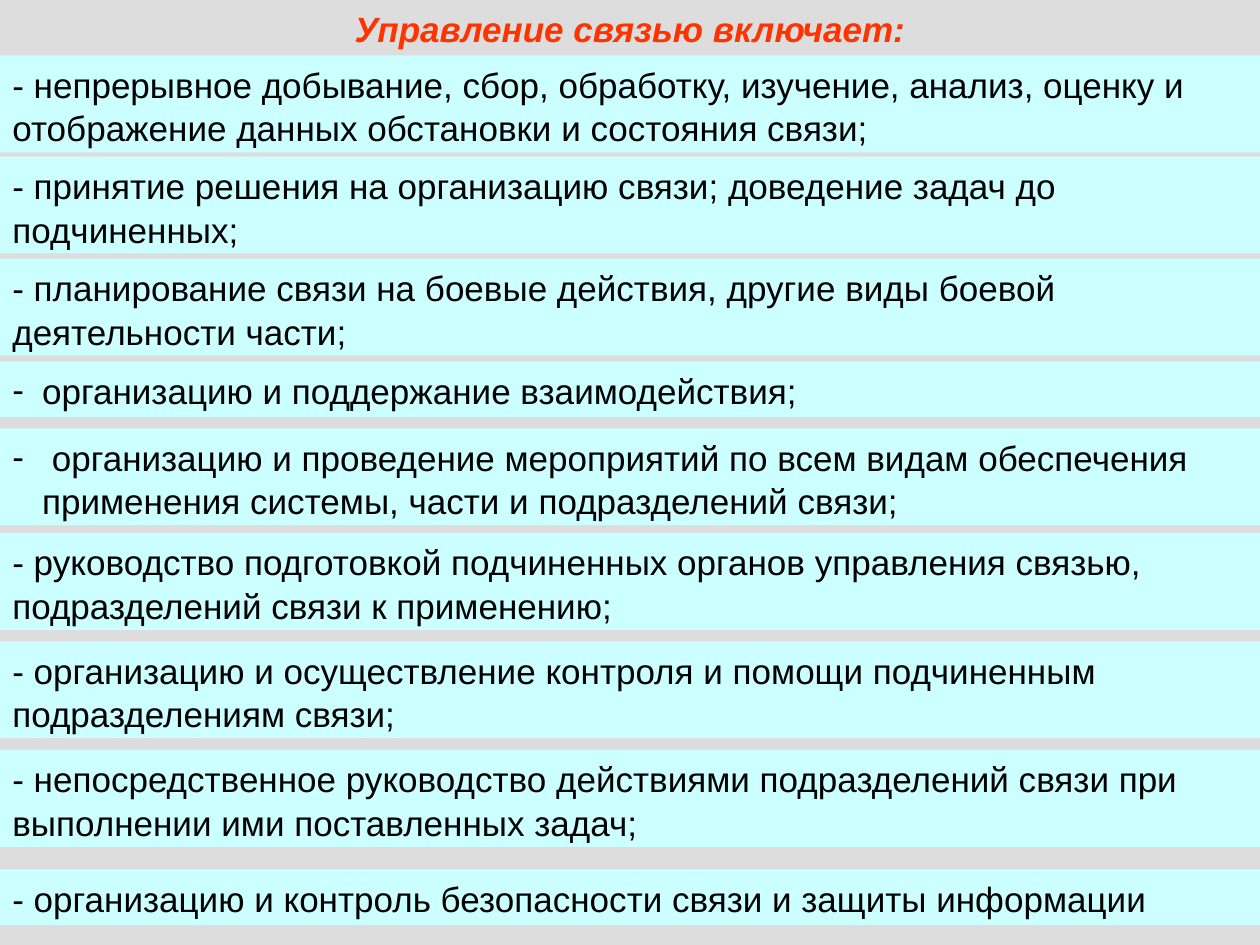
"""Build a slide listing what communications management includes."""
from pptx import Presentation
from pptx.dml.color import RGBColor
from pptx.enum.shapes import MSO_SHAPE
from pptx.enum.text import MSO_ANCHOR, MSO_AUTO_SIZE, PP_ALIGN
from pptx.oxml import parse_xml
from pptx.oxml.ns import nsdecls
from pptx.util import Pt

RECTANGLE = MSO_SHAPE.RECTANGLE
TOP = MSO_ANCHOR.TOP
FIT_SHAPE = MSO_AUTO_SIZE.SHAPE_TO_FIT_TEXT
LEFT, CENTER = PP_ALIGN.LEFT, PP_ALIGN.CENTER

GREY = RGBColor(0xDD, 0xDD, 0xDD)
CYAN = RGBColor(0xCC, 0xFF, 0xFF)
RED = RGBColor(0xFF, 0x33, 0x00)
BLACK = RGBColor(0x00, 0x00, 0x00)

WIDTH, HEIGHT = Pt(720), Pt(540)
LINE_HEIGHTS = {1: Pt(31.7), 2: Pt(55.4)}
BULLET_INDENT = Pt(17)

ITEMS = [
    (31.7, 2, False, "- непрерывное добывание, сбор, обработку, изучение, анализ, оценку и отображение данных обстановки и состояния связи;"),
    (89.5, 2, False, "- принятие решения на организацию связи; доведение задач до подчиненных;"),
    (147.8, 2, False, "- планирование связи на боевые действия, другие виды боевой деятельности части;"),
    (206.6, 1, True, "организацию и поддержание взаимодействия;"),
    (244.8, 2, True, " организацию и проведение мероприятий по всем видам обеспечения применения системы, части и подразделений связи;"),
    (304.6, 2, False, "- руководство подготовкой подчиненных органов управления связью, подразделений связи к применению;"),
    (366.5, 2, False, "- организацию и осуществление контроля и помощи подчиненным подразделениям связи;"),
    (428.6, 2, False, "- непосредственное руководство действиями подразделений связи при выполнении ими поставленных задач;"),
    (496.8, 1, False, "- организацию и контроль безопасности связи и защиты информации"),
]


def write_text(box, text, color, align, emphasis=False, bullet=False):
    frame = box.text_frame
    frame.word_wrap = True
    frame.auto_size = FIT_SHAPE
    frame.vertical_anchor = TOP
    para = frame.paragraphs[0]
    para.alignment = align
    para.line_spacing = 1.04
    if bullet:
        properties = para._p.get_or_add_pPr()
        properties.set("marL", str(BULLET_INDENT))
        properties.set("indent", str(-BULLET_INDENT))
        properties.append(parse_xml(f'<a:buFont {nsdecls("a")} typeface="Arial"/>'))
        properties.append(parse_xml(f'<a:buChar {nsdecls("a")} char="-"/>'))
    span = para.add_run()
    span.text = text
    span.font.name = "Arial"
    span.font.size = Pt(20)
    span.font.bold = emphasis
    span.font.italic = emphasis
    span.font.color.rgb = color


deck = Presentation()
deck.slide_width, deck.slide_height = WIDTH, HEIGHT
page = deck.slides.add_slide(deck.slide_layouts[6])
page.background.fill.solid()
page.background.fill.fore_color.rgb = GREY

title = page.shapes.add_textbox(Pt(0), Pt(0), WIDTH, LINE_HEIGHTS[1])
write_text(title, "Управление связью включает:", RED, CENTER, emphasis=True)

for top, lines, bullet, text in ITEMS:
    box = page.shapes.add_shape(RECTANGLE, Pt(0), Pt(top), WIDTH, LINE_HEIGHTS[lines])
    box.shadow.inherit = False
    box.fill.solid()
    box.fill.fore_color.rgb = CYAN
    box.line.fill.background()
    write_text(box, text, BLACK, LEFT, bullet=bullet)

deck.save("out.pptx")
